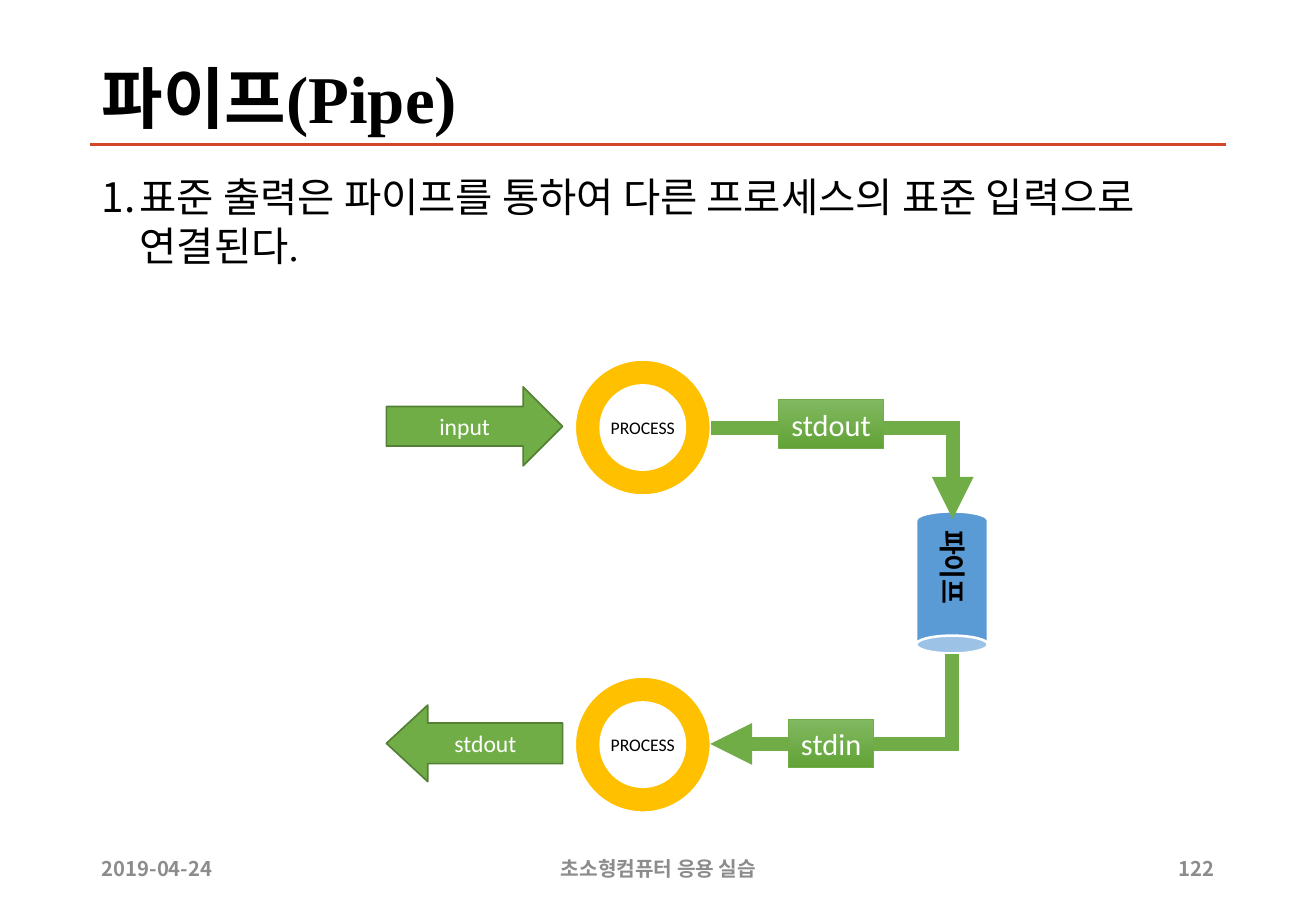
from lxml.etree import SubElement
from pptx import Presentation
from pptx.dml.color import RGBColor
from pptx.enum.shapes import MSO_CONNECTOR as Link, MSO_SHAPE as Preset
from pptx.enum.text import MSO_ANCHOR as Anchor, PP_ALIGN as Align
from pptx.oxml.ns import qn
from pptx.util import Inches, Pt

BLACK = RGBColor(0, 0, 0)
WHITE = RGBColor(0xFF, 0xFF, 0xFF)
GRAY = RGBColor(0x8C, 0x8C, 0x8C)
RED = RGBColor(0xD2, 0x47, 0x26)
GOLD = RGBColor(0xFF, 0xC0, 0x00)
BLUE = RGBColor(0x5B, 0x9B, 0xD5)
GREEN = RGBColor(0x70, 0xAD, 0x47)
DARK_GREEN = RGBColor(0x53, 0x80, 0x35)
LABEL_SHADES = (RGBColor(0x81, 0xB8, 0x61), RGBColor(0x62, 0xA3, 0x36))
SERIF, SANS, KOREAN = "Times New Roman", "Calibri", "Noto Sans CJK KR"

# Content
TITLE = "파이프(Pipe)"
BODY = "표준 출력은 파이프를 통하여 다른 프로세스의 표준 입력으로 연결된다."
PIPE = "파이프"
FOOTER = [  # text, left, width, alignment
    ("2019-04-24", 0.74, 2.44, Align.LEFT),
    ("초소형컴퓨터 응용 실습", 3.59, 3.66, Align.CENTER),
    ("122", 7.65, 2.44, Align.RIGHT),
]
PROCESSES = [  # centre height, arrow preset, arrow text, arrow height, adjustments
    (3.52, Preset.RIGHT_ARROW, "input", 0.65, (0.5, 0.5)),
    (6.13, Preset.LEFT_ARROW, "stdout", 0.63, (0.53, 0.54)),
]
LINKS = [  # left, top, width, height, rotation
    (5.85, 3.52, 1.99, 0.75, 0),
    (6.47, 4.76, 0.74, 1.99, 90),
]
LABELS = [("stdout", 3.29, 0.86), ("stdin", 5.92, 0.7)]  # text, top, width
LABEL_CENTER, PIPE_CENTER = 6.84, 7.84
RING = 1.12

deck = Presentation()
deck.slide_width, deck.slide_height = Inches(10.83), Inches(7.5)
page = deck.slides.add_slide(deck.slide_layouts[6])


def write(shape, text, size, font, color, align=Align.LEFT, bold=False,
          anchor=Anchor.MIDDLE, wrap=True, margin=None):
    frame = shape.text_frame
    frame.word_wrap, frame.vertical_anchor = wrap, anchor
    if margin is not None:
        frame.margin_left = frame.margin_right = Inches(margin)
        frame.margin_top = frame.margin_bottom = Inches(margin)
    para = frame.paragraphs[0]
    para.text, para.alignment = text, align
    para.font.size, para.font.bold = Pt(size), bold
    para.font.color.rgb, para.font.name = color, font
    defaults = para._p.pPr.find(qn("a:defRPr"))
    SubElement(defaults, qn("a:ea"), typeface=KOREAN)


def add_text(left, top, width, height, *args, **options):
    box = page.shapes.add_textbox(*map(Inches, (left, top, width, height)))
    write(box, *args, **options)
    return box


def add_preset(preset, left, top, width, height, fill, line, weight):
    shape = page.shapes.add_shape(preset, *map(Inches, (left, top, width, height)))
    shape.shadow.inherit = False
    if fill:
        shape.fill.solid()
        shape.fill.fore_color.rgb = fill
    shape.line.color.rgb, shape.line.width = line, Pt(weight)
    return shape


def add_link(kind, left, top, width, height, color, weight):
    link = page.shapes.add_connector(
        kind, *map(Inches, (left, top, left + width, top + height)))
    link.line.color.rgb, link.line.width = color, Pt(weight)
    SubElement(link._element.spPr, qn("a:effectLst"))
    return link


# Title, rule and numbered sentence
add_link(Link.STRAIGHT, 0.74, 1.19, 9.35, 0, RED, 2)
add_text(0.74, 0.4, 9.34, 0.79, TITLE, 39.6, SERIF, BLACK, bold=True)

body_box = page.shapes.add_textbox(*map(Inches, (0.74, 1.37, 9.68, 1.33)))
numbering = body_box.text_frame.paragraphs[0]._p.get_or_add_pPr()
numbering.set("marL", str(Inches(0.31)))
numbering.set("indent", str(Inches(-0.31)))
SubElement(numbering, qn("a:buFont"), typeface=KOREAN)
SubElement(numbering, qn("a:buAutoNum"), type="arabicPeriod")
write(body_box, BODY, 24, SERIF, BLACK, anchor=Anchor.TOP)

# Footer
for text, left, width, align in FOOTER:
    add_text(left, 6.95, width, 0.4, text, 12, KOREAN, GRAY, align, bold=True)

# Processes with their outer arrows
for middle, preset, text, height, adjustments in PROCESSES:
    ring = add_preset(Preset.DONUT, 4.73, middle - RING / 2, RING, RING,
                      GOLD, WHITE, 1.5)
    ring.adjustments[0] = 0.19
    write(ring, "PROCESS", 10.5, SANS, BLACK, Align.CENTER, margin=0)
    arrow = add_preset(preset, 3.18, middle - 0.01 - height / 2, 1.45, height,
                       GREEN, DARK_GREEN, 1)
    for index, value in enumerate(adjustments):
        arrow.adjustments[index] = value
    write(arrow, text, 14, SANS, WHITE, Align.CENTER, margin=0)

# Pipe
can = add_preset(Preset.CAN, PIPE_CENTER - 0.3, 4.21, 0.59, 1.17, BLUE, WHITE, 1.5)
can.rotation = 180
pipe_name = add_text(PIPE_CENTER - 0.44, 4.52, 0.88, 0.37, PIPE, 16, SANS, BLACK,
                     bold=True, anchor=Anchor.TOP, wrap=False)
pipe_name.rotation = 90

# Single-bend arrows into and out of the pipe
for left, top, width, height, rotation in LINKS:
    link = add_link(Link.ELBOW, left, top, width, height, GREEN, 8.25)
    properties = link._element.spPr
    properties.find(qn("a:prstGeom")).set("prst", "bentConnector2")
    properties.find(qn("a:xfrm")).set("rot", str(rotation * 60000))
    stroke = properties.find(qn("a:ln"))
    SubElement(stroke, qn("a:miter"), lim="800000")
    SubElement(stroke, qn("a:tailEnd"), type="triangle")

# Stream labels
for text, top, width in LABELS:
    label = add_preset(Preset.RECTANGLE, LABEL_CENTER - width / 2, top, width, 0.4,
                       None, GREEN, 0.5)
    label.fill.gradient()
    label.fill.gradient_angle = 270
    for stop, shade in zip(label.fill.gradient_stops, LABEL_SHADES):
        stop.color.rgb = shade
    write(label, text, 18, SANS, WHITE, Align.CENTER, wrap=False)

deck.save("out.pptx")
